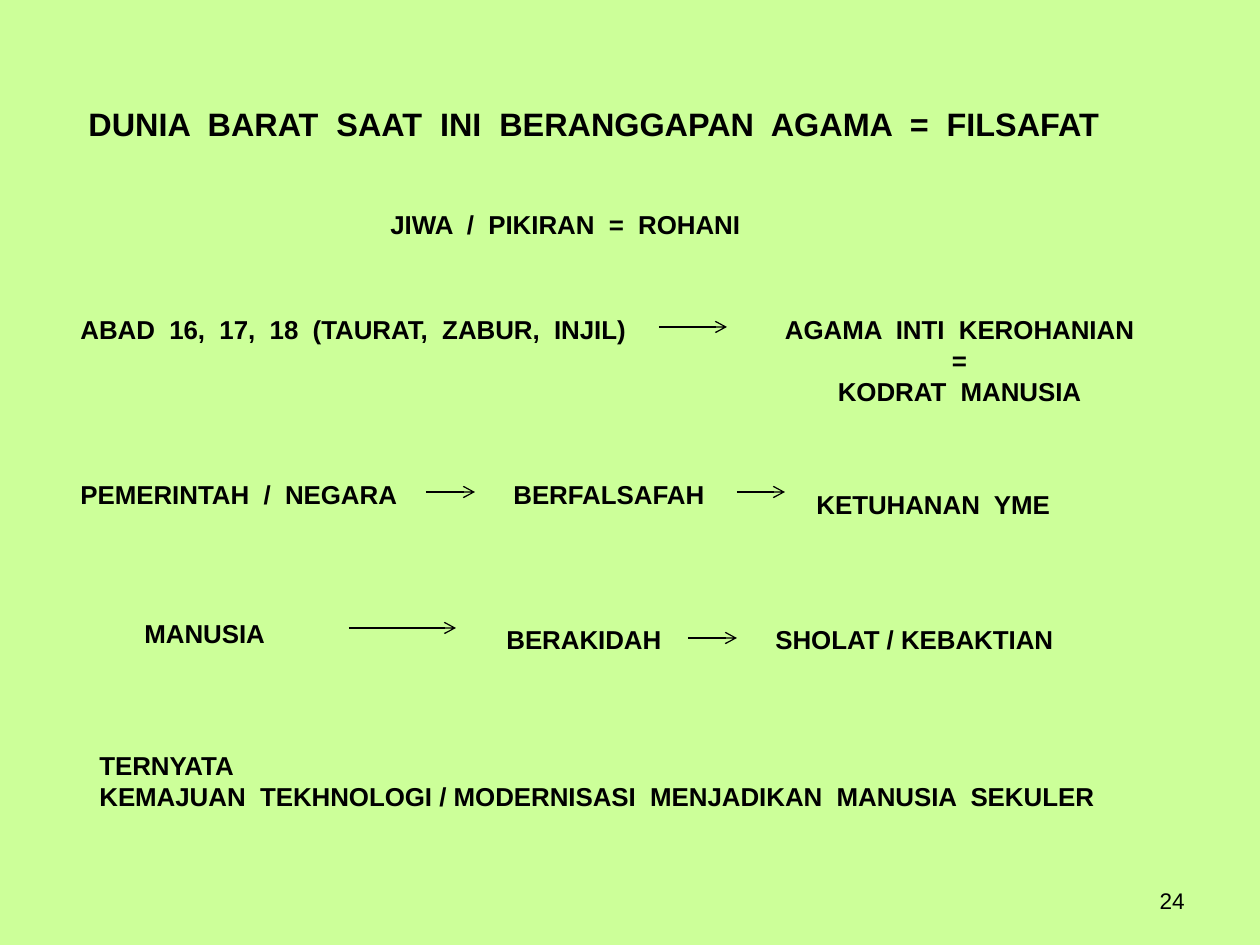
"""Build the slide on how the Western world equates religion with philosophy."""
from lxml import etree
from pptx import Presentation, util as u
from pptx.dml.color import RGBColor
from pptx.enum import shapes, text
from pptx.oxml.ns import qn

PX_PER_INCH = 126
INK, PAPER = "000000", "CCFF99"
LEFT, CENTER, RIGHT = text.PP_ALIGN.LEFT, text.PP_ALIGN.CENTER, text.PP_ALIGN.RIGHT
BODY_PT, LINE_PX, PADDING_PX = 14.8, 31, 13

TITLE = "DUNIA  BARAT  SAAT  INI  BERANGGAPAN  AGAMA  =  FILSAFAT"
STATEMENTS = [
    (378, 202, 388, LEFT, ["JIWA  /  PIKIRAN  =  ROHANI"]),
    (68, 307, 582, LEFT, ["ABAD  16,  17,  18  (TAURAT,  ZABUR,  INJIL)"]),
    (756, 307, 407, CENTER, ["AGAMA  INTI  KEROHANIAN", "=", "KODRAT  MANUSIA"]),
    (68, 472, 349, LEFT, ["PEMERINTAH  /  NEGARA"]),
    (501, 472, 228, LEFT, ["BERFALSAFAH"]),
    (804, 482, 320, LEFT, ["KETUHANAN  YME"]),
    (132, 611, 197, LEFT, ["MANUSIA"]),
    (494, 617, 223, LEFT, ["BERAKIDAH"]),
    (763, 617, 381, LEFT, ["SHOLAT / KEBAKTIAN"]),
    (87, 743, 1124, LEFT, [
        "TERNYATA",
        "KEMAJUAN  TEKHNOLOGI / MODERNISASI  MENJADIKAN  MANUSIA  SEKULER",
    ]),
]
ARROWS = [(659, 727, 327), (426, 475, 492), (737, 785, 492), (349, 456, 628), (688, 737, 638)]
PAGE_NUMBER = "24"


def px(length):
    return u.Inches(length / PX_PER_INCH)


def color(hex_code):
    return RGBColor.from_string(hex_code)


def write(frame, lines, size, align, anchor, bold=True):
    frame.word_wrap = True
    frame.auto_size = text.MSO_AUTO_SIZE.NONE
    frame.vertical_anchor = anchor
    for index, line in enumerate(lines):
        paragraph = frame.add_paragraph() if index else frame.paragraphs[0]
        paragraph.alignment = align
        run = paragraph.add_run()
        run.text = line
        run.font.name, run.font.size, run.font.bold = "Arial", u.Pt(size), bold
        run.font.color.rgb = color(INK)


def add_arrow(slide, start, end, y):
    arrow = slide.shapes.add_connector(
        shapes.MSO_CONNECTOR.STRAIGHT, px(start), px(y), px(end), px(y))
    arrow.line.color.rgb = color(INK)
    arrow.line.width = u.Pt(0.75)
    etree.SubElement(arrow.line._get_or_add_ln(), qn("a:tailEnd"), type="arrow")
    etree.SubElement(arrow._element.spPr, qn("a:effectLst"))


def main():
    deck = Presentation()
    deck.slide_width, deck.slide_height = px(1260), px(945)
    slide = deck.slides.add_slide(deck.slide_layouts[5])
    slide.background.fill.solid()
    slide.background.fill.fore_color.rgb = color(PAPER)

    title = slide.shapes.title
    title.left, title.top, title.width, title.height = map(px, (44, 65, 1099, 84))
    write(title.text_frame, [TITLE], 18.5, CENTER, text.MSO_ANCHOR.BOTTOM)

    for left, top, width, align, lines in STATEMENTS:
        height = PADDING_PX + LINE_PX * len(lines)
        statement = slide.shapes.add_textbox(*map(px, (left, top, width, height)))
        write(statement.text_frame, lines, BODY_PT, align, text.MSO_ANCHOR.TOP)

    for start, end, y in ARROWS:
        add_arrow(slide, start, end, y)

    page_number = slide.shapes.add_textbox(*map(px, (903, 876, 294, 50)))
    write(page_number.text_frame, [PAGE_NUMBER], 12.9, RIGHT, text.MSO_ANCHOR.MIDDLE, bold=False)
    deck.save("out.pptx")


if __name__ == "__main__":
    main()
